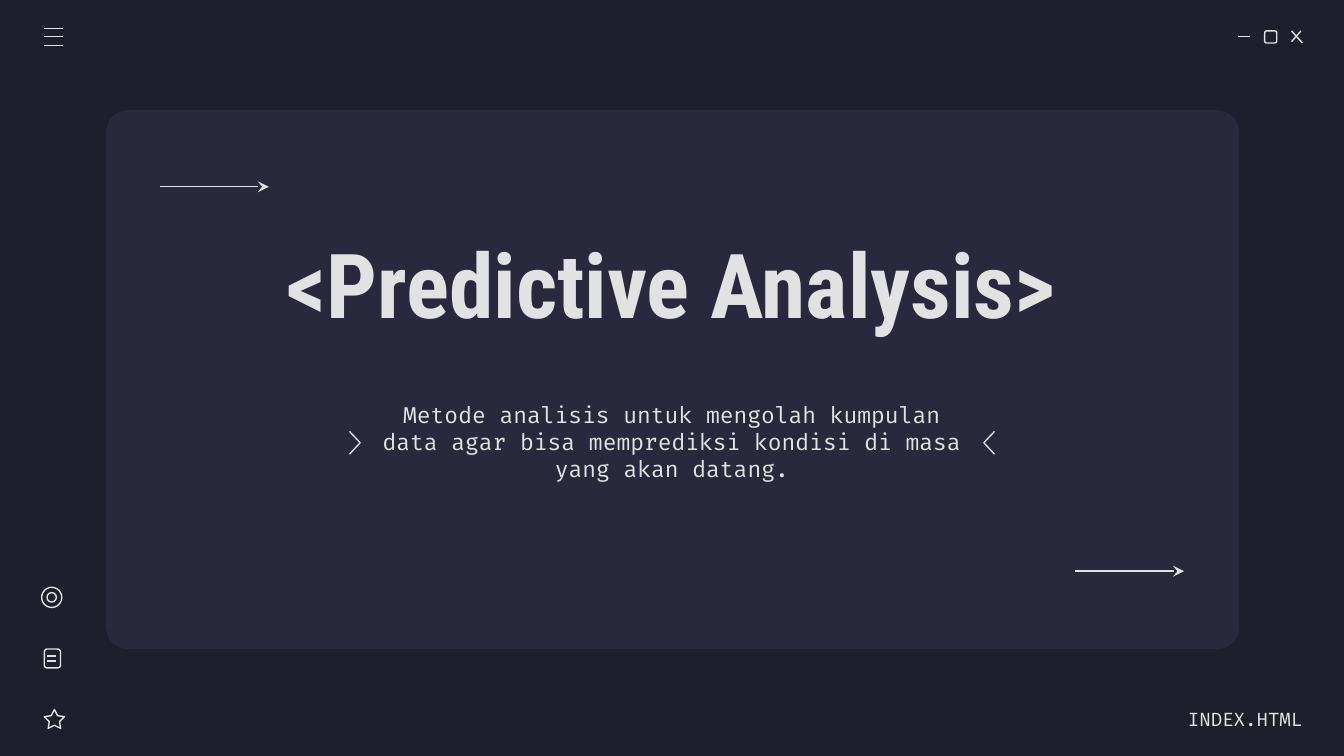
from lxml import etree
from pptx import Presentation, util as u
from pptx.dml.color import RGBColor
from pptx.enum import shapes, text
from pptx.oxml.ns import qn

WIDTH = 10
HEIGHT = WIDTH * 9 / 16
COLORS = {"back": "1E1E2C", "panel": "29283D", "ink": "E2E2E2"}
KIND = shapes.MSO_SHAPE
ALIGN = text.PP_ALIGN

PANEL = (0.79, 0.82, 8.43, 4.01)
# words, box, size, font, bold, alignment, right inset
TEXTS = [
    ("INDEX.HTML", (8.52, 5.2, 1.17, 0.3), 10, "Fira Code", False, ALIGN.RIGHT, 0),
    ("<Predictive Analysis>", (1.96, 1.39, 6.07, 1.42), 48, "Roboto Condensed", True,
     ALIGN.CENTER, 0.1),
    ("Metode analisis untuk mengolah kumpulan data agar bisa memprediksi kondisi "
     "di masa yang akan datang.", (2.68, 2.8, 4.64, 0.97), 12, "Fira Code", False,
     ALIGN.CENTER, 0.1),
]
# kind, box, adjustments
ICON_OUTLINES = [
    (KIND.ROUNDED_RECTANGLE, (9.41, 0.23, 0.09, 0.09), [0.167]),
    (KIND.STAR_5_POINT, (0.33, 5.28, 0.15, 0.14), [0.254, 1.051, 1.106]),
    (KIND.ROUNDED_RECTANGLE, (0.33, 4.83, 0.12, 0.14), [0.167]),
    (KIND.OVAL, (0.31, 4.37, 0.15, 0.15), []),
    (KIND.OVAL, (0.35, 4.41, 0.07, 0.07), []),
]
MINIMIZE = [(9.21, 0.27, 9.3, 0.27)]
CLOSE = [(9.61, 0.23, 9.69, 0.32), (9.68, 0.23, 9.61, 0.31)]
MENU = [(0.33, y, 0.47, y) for y in (0.21, 0.27, 0.34)]
DOCUMENT = [(0.35, y, 0.42, y) for y in (4.88, 4.92)]
ARROW_LENGTH = 0.81
ARROWS = [(1.19, 1.39), (8, 4.25)]
CHEVRON_TOP, CHEVRON_HEIGHT = 3.21, 0.17
CHEVRONS = [(2.6, 2.68), (7.4, 7.32)]  # open side, tip


def color(name):
    return RGBColor.from_string(COLORS[name])


def inches(values):
    return [u.Inches(value) for value in values]


def stroke(item):
    item.line.color.rgb = color("ink")
    item.line.width = u.Pt(0.75)


def add_figure(page, kind, box, adjustments, fill=None):
    """Add a filled shape, or an outlined one when no fill is named."""
    shape = page.shapes.add_shape(kind, *inches(box))
    shape.shadow.inherit = False
    for index, value in enumerate(adjustments):
        shape.adjustments[index] = value
    if fill:
        shape.fill.solid()
        shape.fill.fore_color.rgb = color(fill)
        shape.line.fill.background()
    else:
        shape.fill.background()
        stroke(shape)


def add_line(page, ends, arrow=False):
    line = page.shapes.add_connector(shapes.MSO_CONNECTOR.STRAIGHT, *inches(ends))
    stroke(line)
    properties = line._element.spPr
    if arrow:
        etree.SubElement(properties.find(qn("a:ln")), qn("a:tailEnd"), type="stealth")
    etree.SubElement(properties, qn("a:effectLst"))


def add_chevron(page, open_x, tip_x):
    middle, bottom = CHEVRON_TOP + CHEVRON_HEIGHT / 2, CHEVRON_TOP + CHEVRON_HEIGHT
    builder = page.shapes.build_freeform(*inches((open_x, CHEVRON_TOP)))
    builder.add_line_segments(
        [inches((tip_x, middle)), inches((open_x, bottom))], close=False)
    shape = builder.convert_to_shape()
    shape.shadow.inherit = False
    shape.fill.background()
    stroke(shape)


def add_text(page, words, box, size, font, bold, align, right_inset):
    frame = page.shapes.add_textbox(*inches(box)).text_frame
    frame.word_wrap = True
    frame.vertical_anchor = text.MSO_ANCHOR.MIDDLE
    frame.margin_left = frame.margin_top = frame.margin_bottom = u.Inches(0.1)
    frame.margin_right = u.Inches(right_inset)
    para = frame.paragraphs[0]
    para.text = words
    para.alignment = align
    para.font.size = u.Pt(size)
    para.font.name = font
    para.font.bold = bold
    para.font.color.rgb = color("ink")


def main():
    deck = Presentation()
    deck.slide_width, deck.slide_height = inches((WIDTH, HEIGHT))
    page = deck.slides.add_slide(deck.slide_layouts[6])
    page.background.fill.solid()
    page.background.fill.fore_color.rgb = color("back")

    add_figure(page, KIND.ROUNDED_RECTANGLE, PANEL, [0.04], fill="panel")
    for outline in ICON_OUTLINES:
        add_figure(page, *outline)
    for ends in MINIMIZE + CLOSE + MENU + DOCUMENT:
        add_line(page, ends)
    for entry in TEXTS:
        add_text(page, *entry)
    for open_x, tip_x in CHEVRONS:
        add_chevron(page, open_x, tip_x)
    for x, y in ARROWS:
        add_line(page, (x, y, x + ARROW_LENGTH, y), arrow=True)

    deck.save("out.pptx")


if __name__ == "__main__":
    main()
